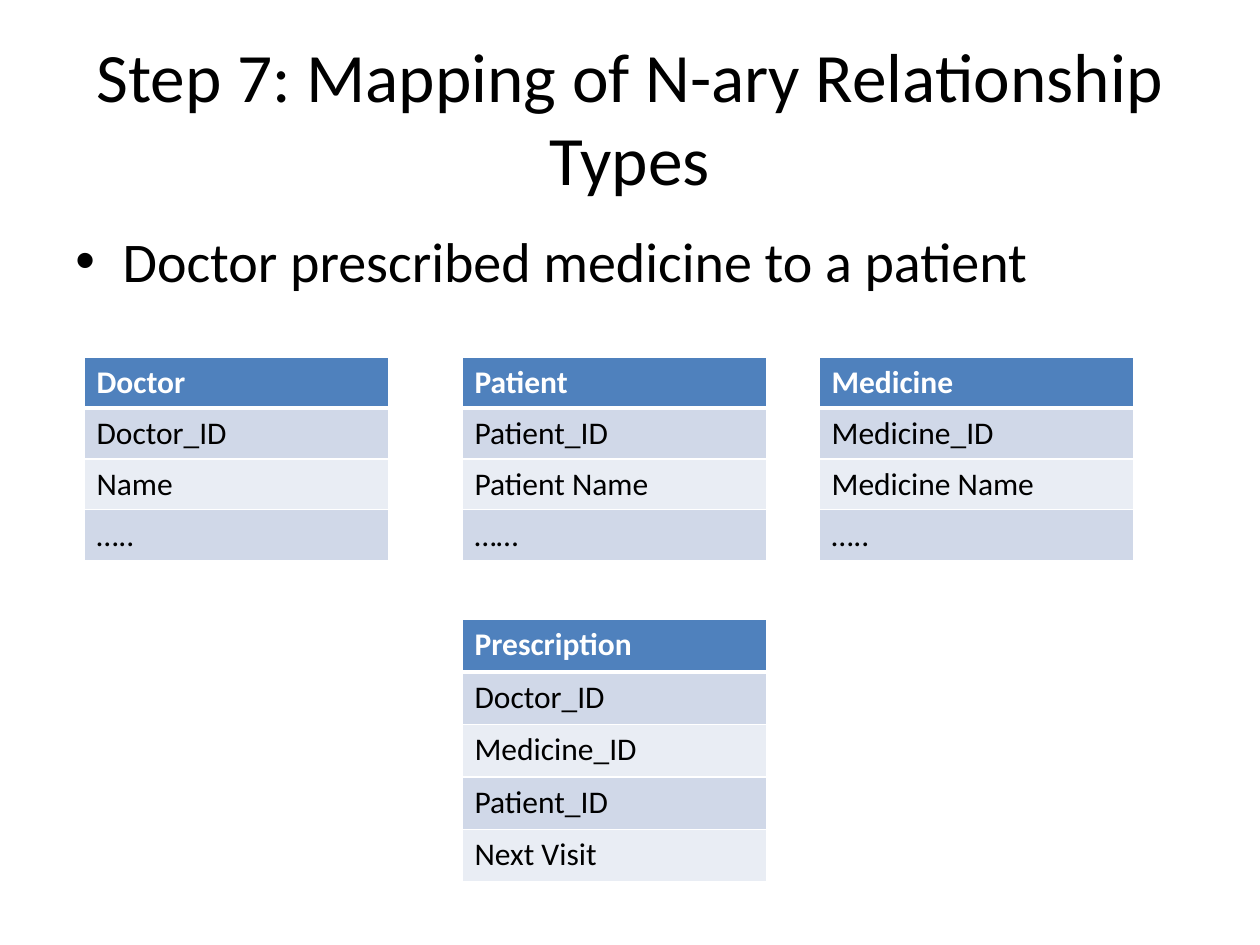
from lxml.etree import SubElement
from pptx import Presentation
from pptx.dml.color import RGBColor
from pptx.enum.text import MSO_ANCHOR, PP_ALIGN
from pptx.oxml.ns import qn
from pptx.util import Pt

PX = 7620  # EMU per px, at 120 px to the inch
BLACK = RGBColor(0x00, 0x00, 0x00)
WHITE = RGBColor(0xFF, 0xFF, 0xFF)
HEADER_BLUE = RGBColor(0x4F, 0x81, 0xBD)
BANDS = (RGBColor(0xD0, 0xD8, 0xE8), RGBColor(0xE9, 0xED, 0xF4))

TOP_ROW, BOTTOM_ROW = 340, 590
LEFT_COLUMN, MIDDLE_COLUMN, RIGHT_COLUMN = 80, 440, 780
# left, top, width, height, header and fields of each relation
RELATIONS = (
    (LEFT_COLUMN, TOP_ROW, 290, 194, ("Doctor", "Doctor_ID", "Name", "…..")),
    (MIDDLE_COLUMN, BOTTOM_ROW, 290, 250,
     ("Prescription", "Doctor_ID", "Medicine_ID", "Patient_ID", "Next Visit")),
    (RIGHT_COLUMN, TOP_ROW, 300, 194,
     ("Medicine", "Medicine_ID", "Medicine Name", "…..")),
    (MIDDLE_COLUMN, TOP_ROW, 290, 194,
     ("Patient", "Patient_ID", "Patient Name", "……")),
)


class SlideBuilder:
    font_name = "Calibri"

    def __init__(self, slide):
        self.slide = slide

    def style(self, paragraph, size, color=BLACK, bold=False):
        font = paragraph.font if not paragraph.runs else paragraph.runs[0].font
        font.name = self.font_name
        font.size = Pt(size)
        font.color.rgb = color
        font.bold = bold

    def text(self, words, left, top, width, height, size, anchor=MSO_ANCHOR.TOP):
        box = self.slide.shapes.add_textbox(
            left * PX, top * PX, width * PX, height * PX)
        frame = box.text_frame
        frame.word_wrap = True
        frame.vertical_anchor = anchor
        paragraph = frame.paragraphs[0]
        paragraph.text = words
        self.style(paragraph, size)
        return paragraph

    def title(self, words, left, top, width, height):
        heading = self.text(words, left, top, width, height, 39.6, MSO_ANCHOR.MIDDLE)
        heading.alignment = PP_ALIGN.CENTER

    def bullet(self, words, left, top, width, height):
        point = self.text(words, left, top, width, height, 32)
        properties = point._p.get_or_add_pPr()
        properties.set("marL", str(45 * PX))
        properties.set("indent", str(-45 * PX))
        SubElement(properties, qn("a:buFont"), typeface="Arial")
        SubElement(properties, qn("a:buChar"), char="•")

    def borders(self, cell, top, bottom):
        """Draw white cell edges; top and bottom are widths in points."""
        properties = cell._tc.get_or_add_tcPr()
        for edge, points in (("L", 1), ("R", 1), ("T", top), ("B", bottom)):
            line = SubElement(properties, qn(f"a:ln{edge}"), w=str(Pt(points)))
            fill = SubElement(line, qn("a:solidFill"))
            SubElement(fill, qn("a:srgbClr"), val=str(WHITE))

    def relation(self, left, top, width, height, fields):
        table = self.slide.shapes.add_table(
            len(fields), 1, left * PX, top * PX, width * PX, height * PX).table
        for row, field in enumerate(fields):
            is_header = row == 0
            cell = table.cell(row, 0)
            cell.text_frame.text = field
            self.style(cell.text_frame.paragraphs[0], 18,
                       WHITE if is_header else BLACK, is_header)
            self.borders(cell, top=3 if row == 1 else 1, bottom=3 if is_header else 1)
            cell.fill.solid()
            cell.fill.fore_color.rgb = HEADER_BLUE if is_header else BANDS[(row - 1) % 2]


def main():
    presentation = Presentation()
    presentation.slide_width = 1200 * PX
    presentation.slide_height = 900 * PX
    builder = SlideBuilder(
        presentation.slides.add_slide(presentation.slide_layouts[6]))
    builder.title("Step 7: Mapping of N-ary Relationship Types", 60, 36, 1080, 150)
    builder.bullet("Doctor prescribed medicine to a patient", 60, 210, 1080, 594)
    for relation in RELATIONS:
        builder.relation(*relation)
    presentation.save("out.pptx")


if __name__ == "__main__":
    main()
